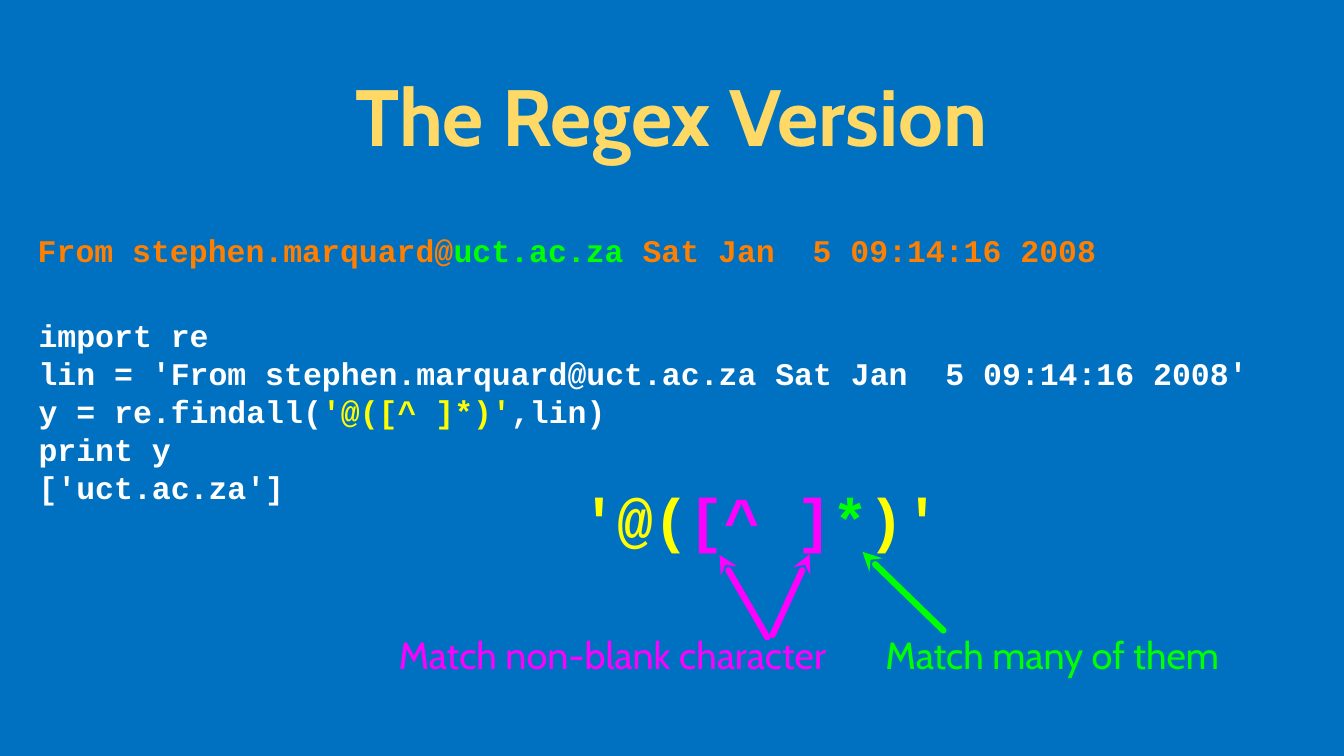
from lxml import etree
from pptx import Presentation
from pptx import util as u
from pptx.dml.color import RGBColor
from pptx.enum import shapes, text
from pptx.oxml.ns import qn

COLORS = {
    "background": "0070C0",
    "title": "FFD966",
    "code": "FFFFFF",
    "mail": "FF7F00",
    "pattern": "FFFF00",
    "set": "FF00FF",
    "repeat": "00FF00",
}
PROSE, MONO = "Cabin", "Courier New"


class RegexSlide:
    """Current slide and its style; lengths are percent of the slide's size."""

    def __init__(self, deck):
        self.width, self.height = deck.slide_width, deck.slide_height
        self.slide = deck.slides.add_slide(deck.slide_layouts[6])
        fill = self.slide.background.fill
        fill.solid()
        fill.fore_color.rgb = self.color("background")

    def color(self, name):
        return RGBColor.from_string(COLORS[name])

    def x(self, share):
        return round(self.width * share / 100)

    def y(self, share):
        return round(self.height * share / 100)

    def text(self, left, top, width, height, lines, size, font,
             bold=False, centered=False):
        """Each line is a list of (wording, color name) runs."""
        box = self.slide.shapes.add_textbox(
            self.x(left), self.y(top), self.x(width), self.y(height))
        frame = box.text_frame
        frame.word_wrap = True
        frame.vertical_anchor = text.MSO_ANCHOR.MIDDLE
        frame.margin_left = frame.margin_right = 0
        frame.margin_top = frame.margin_bottom = 0
        for number, line in enumerate(lines):
            paragraph = frame.add_paragraph() if number else frame.paragraphs[0]
            paragraph.alignment = (
                text.PP_ALIGN.CENTER if centered else text.PP_ALIGN.LEFT)
            for wording, color in line:
                run = paragraph.add_run()
                run.text = wording
                run.font.name = font
                run.font.size = u.Pt(size)
                run.font.bold = bold
                run.font.color.rgb = self.color(color)

    def arrow(self, tip, tail, color):
        """Line whose stealth head sits at the tip."""
        line = self.slide.shapes.add_connector(
            shapes.MSO_CONNECTOR.STRAIGHT,
            self.x(tip[0]), self.y(tip[1]), self.x(tail[0]), self.y(tail[1]))
        line.line.width = u.Pt(6)
        line.line.color.rgb = self.color(color)
        outline = line.line._get_or_add_ln()
        outline.set("cap", "rnd")
        etree.SubElement(outline, qn("a:headEnd"), type="stealth")
        etree.SubElement(line._element.spPr, qn("a:effectLst"))


def main():
    deck = Presentation()
    deck.slide_width, deck.slide_height = u.Inches(17.78), u.Inches(10)
    page = RegexSlide(deck)

    # Title
    page.text(7.09, 2.6, 85.71, 25.1, [[("The Regex Version", "title")]],
              76, PROSE, bold=True, centered=True)

    # Enlarged pattern
    page.text(43.25, 63.7, 27, 9.6,
              [[("'@(", "pattern"), ("[^ ]", "set"), ("*", "repeat"),
                (")'", "pattern")]], 57, MONO, bold=True)

    # Explanations of the pattern's parts
    for left, width, wording, color in (
            (26.72, 37.68, "Match non-blank character", "set"),
            (63.16, 30.26, "Match many of them", "repeat")):
        page.text(left, 83.1, width, 6.8, [[(wording, color)]],
                  36, PROSE, centered=True)

    # Arrows from the explanations up to the pattern
    for tip, tail, color in (
            ((53.54, 73.4), (57.09, 84.3), "set"),
            ((64.17, 73), (70.19, 83.4), "repeat"),
            ((60.24, 73.3), (57.48, 84), "set")):
        page.arrow(tip, tail, color)

    # Mail header line
    page.text(2.81, 29.4, 95.22, 7.4,
              [[("From stephen.marquard@", "mail"), ("uct.ac.za", "repeat"),
                (" Sat Jan  5 09:14:16 2008", "mail")]], 30, MONO, bold=True)

    # Program and its output
    page.text(2.87, 42, 96.96, 24.7, [
        [("import re", "code")],
        [("lin = 'From stephen.marquard@uct.ac.za Sat Jan  5 09:14:16 2008'",
          "code")],
        [("y = re.findall(", "code"), ("'@([^ ]*)'", "pattern"),
         (",lin)", "code")],
        [("print y", "code")],
        [("['uct.ac.za']", "code")],
    ], 30, MONO, bold=True)

    deck.save("out.pptx")


if __name__ == "__main__":
    main()
